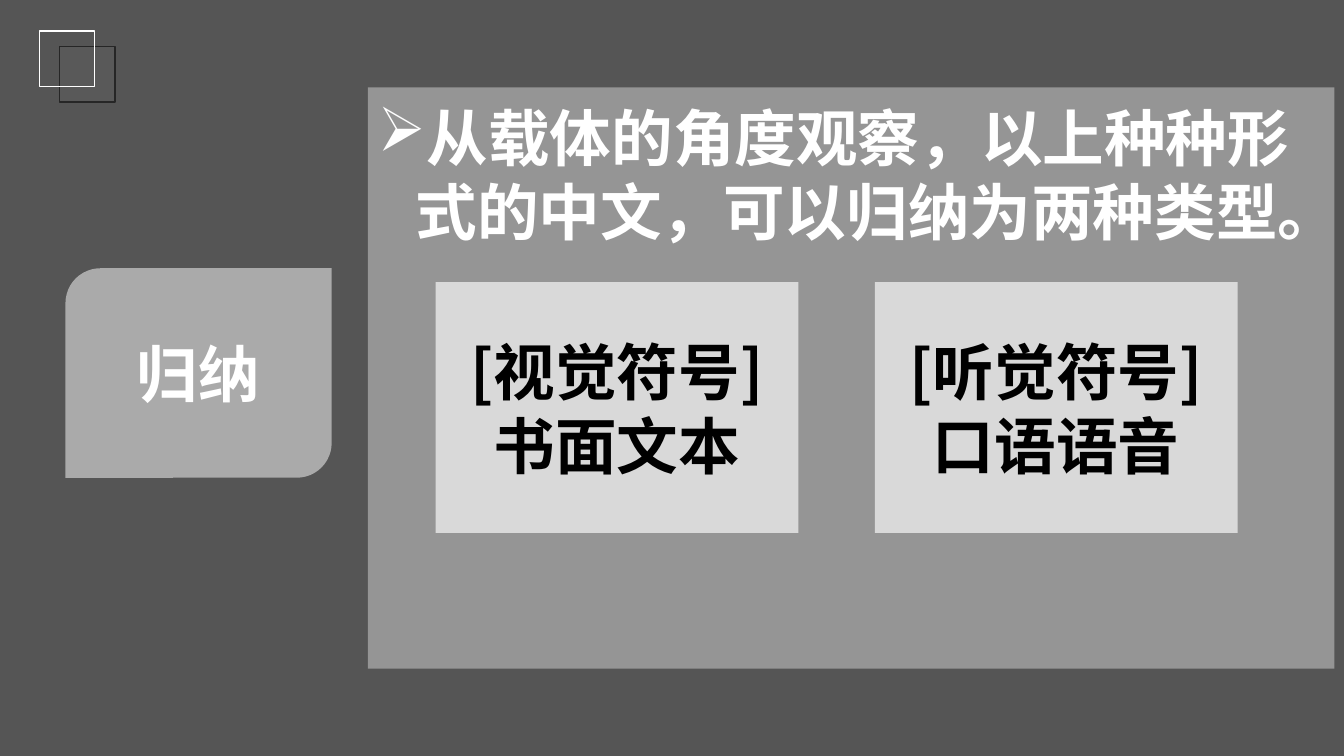
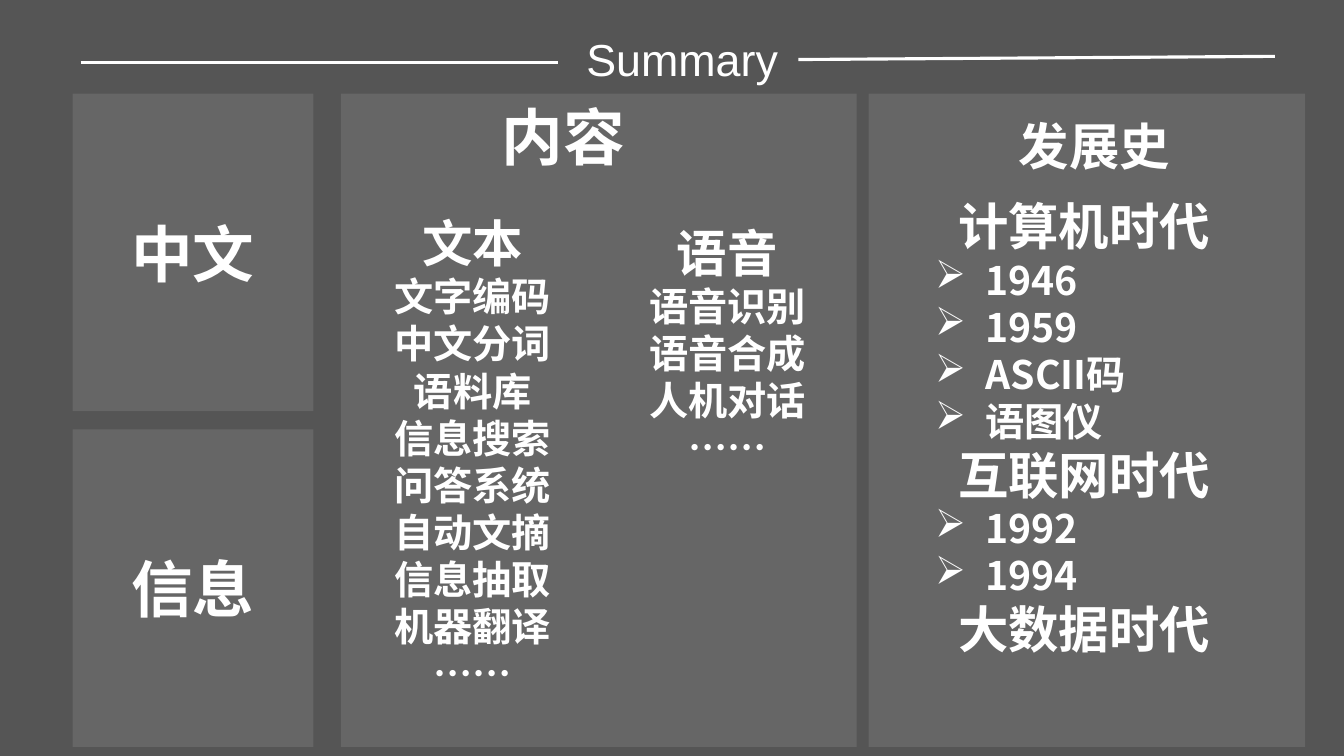
from lxml.etree import SubElement
from pptx import Presentation
from pptx.dml.color import RGBColor
from pptx.enum.shapes import MSO_CONNECTOR, MSO_SHAPE
from pptx.enum.text import MSO_ANCHOR, PP_ALIGN
from pptx.oxml.ns import qn
from pptx.util import Cm, Pt

WHITE = RGBColor(0xFF, 0xFF, 0xFF)
BLACK = RGBColor(0, 0, 0)
BACK = RGBColor(0x55, 0x55, 0x55)
DARK = RGBColor(0x59, 0x59, 0x59)
EDGE = RGBColor(0x26, 0x26, 0x26)
PALE = RGBColor(0xD9, 0xD9, 0xD9)
HAN = "Noto Sans CJK SC"
LATIN = "Arial"
SERIF = "Times New Roman"


def write(frame, text, size=44, font=HAN, color=WHITE, bold=True,
          align=PP_ALIGN.CENTER, bullet=None):
    para = frame.paragraphs[0]
    if para.runs:
        para = frame.add_paragraph()
    para.alignment = align
    para.line_spacing = Pt(round(size * 1.2, 1))
    if bullet:
        left, hang = bullet
        props = para._p.get_or_add_pPr()
        props.set("marL", str(Cm(left)))
        props.set("indent", str(-Cm(hang)))
        SubElement(props, qn("a:buChar")).set("char", "➢")
    run = para.add_run()
    run.text = text
    run.font.size = Pt(size)
    run.font.bold = bold
    run.font.name = font
    run.font.color.rgb = color
    SubElement(run._r.get_or_add_rPr(), qn("a:ea")).set("typeface", HAN)


class Deck:
    """Holds the shared style and the current slide."""

    def __init__(self):
        self.prs = Presentation()
        self.prs.slide_width = Cm(33.87)
        self.prs.slide_height = Cm(19.05)
        fill = self.prs.slide_master.background.fill
        fill.solid()
        fill.fore_color.rgb = BACK
        self.slide = None

    def page(self):
        self.slide = self.prs.slides.add_slide(self.prs.slide_layouts[6])

    def block(self, x, y, w, h, fill=None, alpha=100, line=None,
              kind=MSO_SHAPE.RECTANGLE):
        shape = self.slide.shapes.add_shape(kind, Cm(x), Cm(y), Cm(w), Cm(h))
        shape.shadow.inherit = False
        if fill is None:
            shape.fill.background()
        else:
            shape.fill.solid()
            shape.fill.fore_color.rgb = fill
            if alpha < 100:
                tint = shape.fill._xPr.find(".//" + qn("a:srgbClr"))
                SubElement(tint, qn("a:alpha")).set("val", str(alpha * 1000))
        if line is None:
            shape.line.fill.background()
        else:
            shape.line.color.rgb = line
            shape.line.width = Pt(1)
        frame = shape.text_frame
        frame.word_wrap = True
        frame.vertical_anchor = MSO_ANCHOR.MIDDLE
        return frame

    def panel(self, x, y, w, h):
        return self.block(x, y, w, h, fill=WHITE, alpha=10)

    def text(self, x, y, w, h, anchor=MSO_ANCHOR.TOP):
        box = self.slide.shapes.add_textbox(Cm(x), Cm(y), Cm(w), Cm(h))
        frame = box.text_frame
        frame.word_wrap = True
        frame.vertical_anchor = anchor
        return frame

    def rule(self, x, y, end, last):
        line = self.slide.shapes.add_connector(
            MSO_CONNECTOR.STRAIGHT, Cm(x), Cm(y), Cm(end), Cm(last))
        line.line.color.rgb = WHITE
        line.line.width = Pt(2.25)
        SubElement(line._element.spPr, qn("a:effectLst"))

    def topics(self, frame, head, items):
        write(frame, head, size=36)
        for item in items:
            write(frame, item, size=28)

    def eras(self, frame, groups):
        for era, items in groups:
            write(frame, era, size=36)
            for item in items:
                write(frame, item, size=28, align=PP_ALIGN.LEFT,
                      bullet=(2.54, 1.27))


def types(deck):
    deck.page()
    label = deck.block(1.65, 6.76, 6.71, 5.28, fill=WHITE, alpha=50,
                       kind=MSO_SHAPE.ROUND_2_DIAG_RECTANGLE)
    write(label, "归纳")
    deck.block(1.5, 1.17, 1.4, 1.4, fill=DARK, line=EDGE)
    deck.block(0.99, 0.78, 1.4, 1.4, line=WHITE)
    deck.block(9.27, 2.2, 24.36, 14.65, fill=WHITE, alpha=38)
    write(deck.text(9.27, 2.39, 24.15, 4.2),
          "从载体的角度观察，以上种种形式的中文，可以归纳为两种类型。",
          font=SERIF, align=PP_ALIGN.LEFT, bullet=(0.95, 0.95))
    cards = [("[视觉符号]", "书面文本"), ("[听觉符号]", "口语语音")]
    for col, lines in enumerate(cards):
        card = deck.block(10.98 + col * 11.07, 7.11, 9.14, 6.32, fill=PALE)
        for line in lines:
            write(card, line, color=BLACK)


def summary(deck):
    deck.page()
    title = deck.text(13.13, 0.79, 8.13, 1.37, MSO_ANCHOR.MIDDLE)
    write(title, "Summary", size=32, font=LATIN, bold=False)
    deck.rule(2.03, 1.57, 14.05, 1.57)
    deck.rule(20.12, 1.5, 32.13, 1.42)
    for row, word in enumerate(["中文", "信息"]):
        write(deck.panel(1.83, 2.36 + row * 8.46, 6.07, 8), word, font=LATIN)
    deck.panel(8.59, 2.36, 13, 16.46)
    deck.panel(21.89, 2.36, 11, 16.46)
    write(deck.text(12.4, 2.36, 4.78, 2.18), "内容",
          font=SERIF, align=PP_ALIGN.LEFT)
    write(deck.text(25.43, 2.77, 4.78, 2.18), "发展史", size=36,
          font=SERIF, align=PP_ALIGN.LEFT)
    deck.topics(deck.text(8.94, 4.55, 5.94, 13.79, MSO_ANCHOR.MIDDLE), "文本",
                ["文字编码", "中文分词", "语料库", "信息搜索", "问答系统",
                 "自动文摘", "信息抽取", "机器翻译", "……"])
    deck.topics(deck.text(15.42, 5.46, 5.82, 6.5), "语音",
                ["语音识别", "语音合成", "人机对话", "……"])
    deck.eras(deck.text(22.05, 4.8, 10.54, 12.5),
              [("计算机时代", ["1946", "1959", "ASCII码", "语图仪"]),
               ("互联网时代", ["1992", "1994"]),
               ("大数据时代", [])])


def main():
    deck = Deck()
    types(deck)
    summary(deck)
    deck.prs.save("out.pptx")


if __name__ == "__main__":
    main()
